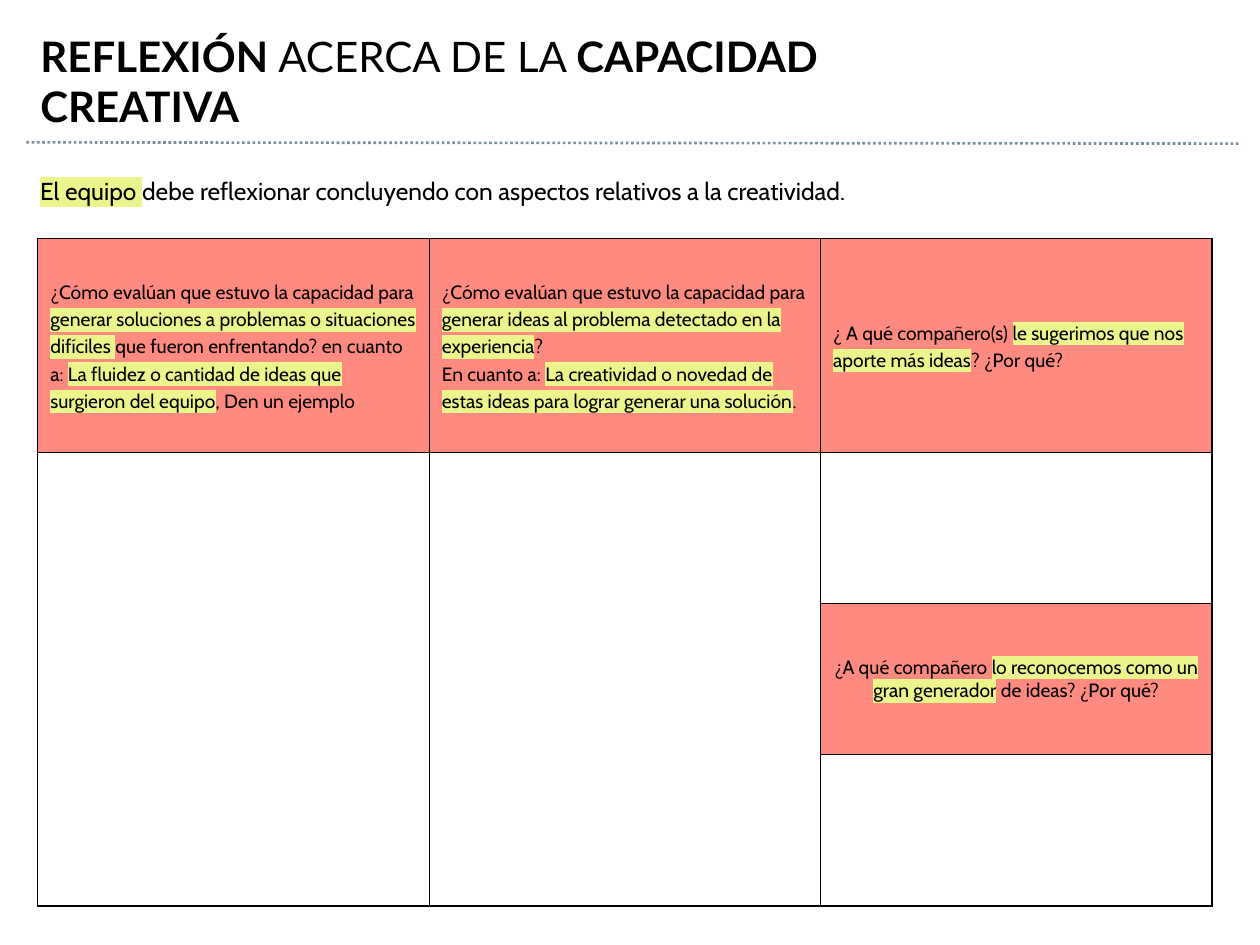
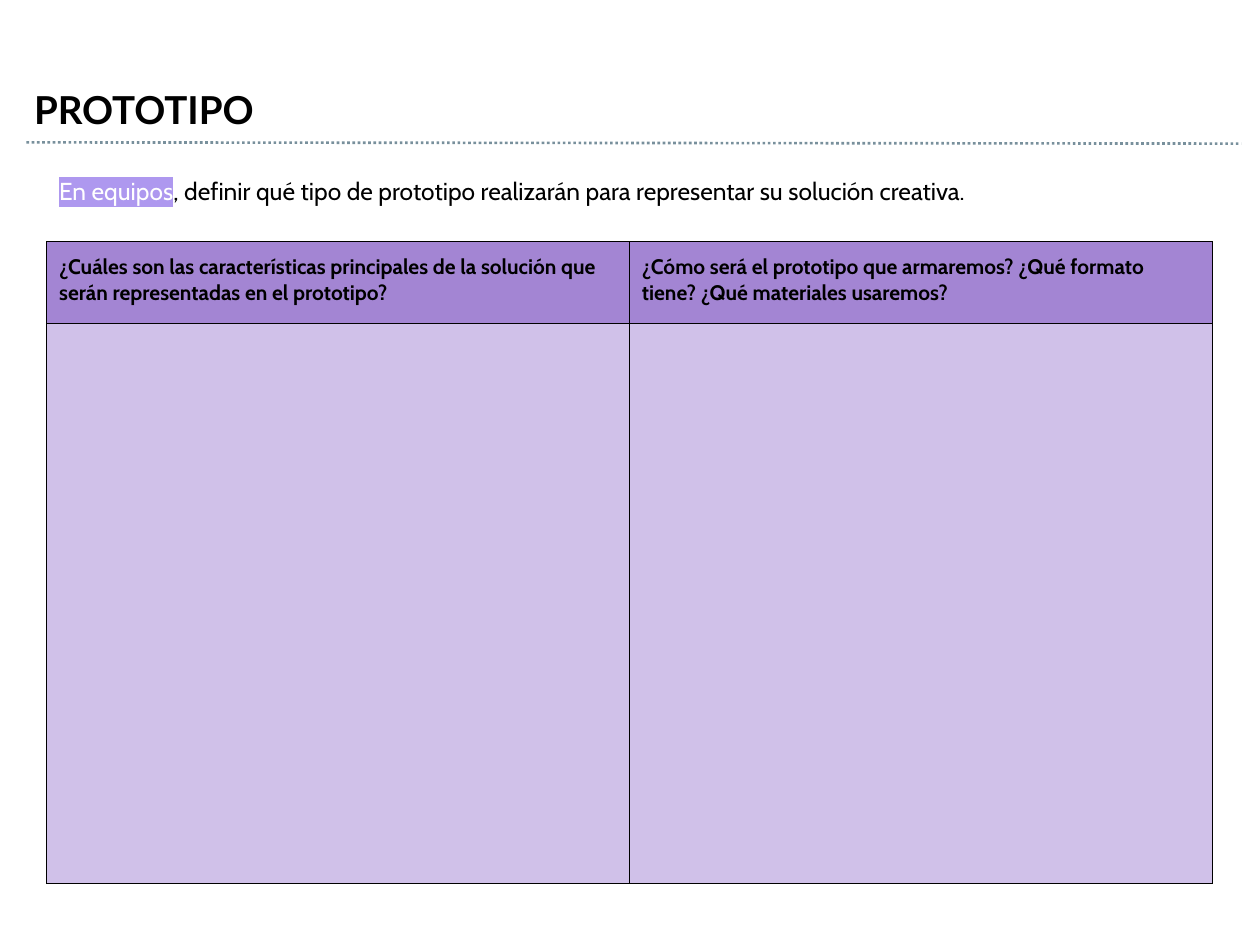
from dataclasses import dataclass

from lxml.etree import SubElement
from pptx import Presentation
from pptx.dml.color import RGBColor
from pptx.enum.dml import MSO_LINE
from pptx.enum.shapes import MSO_CONNECTOR
from pptx.enum.text import MSO_ANCHOR, MSO_AUTO_SIZE, PP_ALIGN
from pptx.oxml import parse_xml
from pptx.oxml.ns import nsdecls, qn
from pptx.util import Inches, Pt


@dataclass(frozen=True)
class Theme:
    """Colours, fonts and type sizes of the deck."""

    black: str = "000000"
    white: str = "FFFFFF"
    rule: str = "78909C"
    coral: str = "FF8A80"
    lime: str = "EBF58B"
    purple: str = "A385D3"
    lilac: str = "D0C1E9"
    violet: str = "AE98EF"
    title_font: str = "Lato"
    body_font: str = "Cabin"
    intro_size: int = 14
    question_size: int = 11
    heading_size: int = 12
    padding: float = 0.1


@dataclass(frozen=True)
class Span:
    """A stretch of text that differs from its paragraph."""

    text: str
    mark: str = ""
    color: str = ""
    bold: bool = False


THEME = Theme()


def rgb(value):
    """Turn a hex value into a colour."""
    return RGBColor.from_string(value)


def lime(text):
    """Mark text with the lime highlighter."""
    return Span(text, mark=THEME.lime)


def write_paragraph(para, spans, font, size, bold=False):
    """Fill a paragraph with plain strings and spans."""
    para.font.name = font
    para.font.size = Pt(size)
    para.font.color.rgb = rgb(THEME.black)
    if not any(isinstance(span, Span) and span.bold for span in spans):
        para.font.bold = bold
    for item in spans:
        span = item if isinstance(item, Span) else Span(item)
        run = para.add_run()
        run.text = span.text
        if span.bold:
            run.font.bold = True
        if span.color:
            run.font.color.rgb = rgb(span.color)
        if span.mark:
            highlight = SubElement(run.font._element, qn("a:highlight"))
            SubElement(highlight, qn("a:srgbClr"), val=span.mark)


def set_padding(holder):
    """Give a cell or text frame equal inner margins."""
    for side in ("left", "right", "top", "bottom"):
        setattr(holder, f"margin_{side}", Inches(THEME.padding))


def add_rule(page):
    """Draw the dotted line below the title."""
    rule = page.shapes.add_connector(
        MSO_CONNECTOR.STRAIGHT, Inches(0.21), Inches(1.13), Inches(9.85), Inches(1.14))
    rule.line.color.rgb = rgb(THEME.rule)
    rule.line.width = Pt(1.5)
    rule.line.dash_style = MSO_LINE.ROUND_DOT
    SubElement(rule._element.spPr, qn("a:effectLst"))


def add_title(page, spans, area, size, anchor, spacing=1.0):
    """Place and format the title placeholder."""
    title = page.shapes.title
    title.left, title.top, title.width, title.height = map(Inches, area)
    frame = title.text_frame
    frame.auto_size = MSO_AUTO_SIZE.NONE
    frame.word_wrap = True
    frame.vertical_anchor = anchor
    set_padding(frame)
    para = frame.paragraphs[0]
    para.alignment = PP_ALIGN.LEFT
    para.line_spacing = spacing
    write_paragraph(para, spans, THEME.title_font, size)


def add_intro(page, left, spans):
    """Add the instruction line between the rule and the table."""
    box = page.shapes.add_textbox(Inches(left), Inches(1.3), Inches(9.25), Inches(0.45))
    frame = box.text_frame
    frame.word_wrap = True
    set_padding(frame)
    write_paragraph(frame.paragraphs[0], spans, THEME.body_font, THEME.intro_size)


def style_cell(cell, fill):
    """Set the fill, padding and thin black borders of a cell."""
    set_padding(cell)
    cell.fill.solid()
    cell.fill.fore_color.rgb = rgb(fill)
    properties = cell._tc.get_or_add_tcPr()
    for index, side in enumerate("LRTB"):
        properties.insert(index, parse_xml(
            f'<a:ln{side} {nsdecls("a")} w="9525"><a:solidFill>'
            f'<a:srgbClr val="{THEME.black}"/></a:solidFill></a:ln{side}>'))


def add_grid(page, area, column_count, row_heights, fill):
    """Add a bordered table with equal columns and one fill."""
    frame = page.shapes.add_table(len(row_heights), column_count, *map(Inches, area))
    table = frame.table
    table.first_row = table.horz_banding = False
    for column in table.columns:
        column.width = Inches(area[2] / column_count)
    for row, height in zip(table.rows, row_heights):
        row.height = Inches(height)
        for cell in row.cells:
            style_cell(cell, fill)
    return table


def fill_question(cell, paragraphs, fill, size, bold=False, anchor=MSO_ANCHOR.MIDDLE,
                  spacing=1.0, alignment=PP_ALIGN.LEFT):
    """Write a question on a coloured cell."""
    cell.fill.fore_color.rgb = rgb(fill)
    cell.vertical_anchor = anchor
    frame = cell.text_frame
    for index, spans in enumerate(paragraphs):
        para = frame.add_paragraph() if index else frame.paragraphs[0]
        para.alignment = alignment
        para.line_spacing = spacing
        write_paragraph(para, spans, THEME.body_font, size, bold)


def add_page(deck):
    """Add a title-only slide with the dotted rule."""
    page = deck.slides.add_slide(deck.slide_layouts[5])
    add_rule(page)
    return page


def build_reflection(deck):
    """Build the slide on the team's creative capacity."""
    page = add_page(deck)
    add_title(page, [Span("REFLEXIÓN ", bold=True), "ACERCA DE LA ",
                     Span("CAPACIDAD CREATIVA", bold=True)],
              (0.22, 0.32, 6.68, 0.64), 24, MSO_ANCHOR.MIDDLE)
    add_intro(page, 0.22, [
        lime("El equipo "),
        "debe reflexionar concluyendo con aspectos relativos a la creatividad."])
    table = add_grid(page, (0.3, 1.89, 9.32, 5.3), 3, (1.7, 1.2, 1.2, 1.2), THEME.white)
    questions = [
        [["¿Cómo evalúan que estuvo la capacidad para ",
          lime("generar soluciones a problemas o situaciones difíciles "),
          "que fueron enfrentando? en cuanto a: ",
          lime("La fluidez o cantidad de ideas que surgieron del equipo"),
          ", Den un ejemplo"]],
        [["¿Cómo evalúan que estuvo la capacidad para ",
          lime("generar ideas al problema detectado en la experiencia"), "?"],
         ["En cuanto a: ",
          lime("La creatividad o novedad de estas ideas para lograr generar una solución"),
          "."]],
        [["¿ A qué compañero(s) ", lime("le sugerimos que nos aporte más ideas"),
          "? ¿Por qué?"]],
    ]
    for column, paragraphs in enumerate(questions):
        fill_question(table.cell(0, column), paragraphs, THEME.coral,
                      THEME.question_size, spacing=1.15)
    recognition = ["¿A qué compañero ", lime("lo reconocemos como un gran generador"),
                   " de ideas? ¿Por qué?"]
    fill_question(table.cell(2, 2), [recognition], THEME.coral,
                  THEME.question_size, alignment=PP_ALIGN.CENTER)
    for column in range(2):
        table.cell(1, column).merge(table.cell(3, column))


def build_prototype(deck):
    """Build the slide that defines the prototype."""
    page = add_page(deck)
    add_title(page, [Span("PROTOTIPO", bold=True)],
              (0.17, 0.4, 8.16, 0.72), 22, MSO_ANCHOR.TOP, spacing=1.5)
    add_intro(page, 0.37, [
        Span("En equipos", mark=THEME.violet, color=THEME.white),
        ", definir qué tipo de prototipo realizarán para representar su solución creativa."])
    table = add_grid(page, (0.37, 1.92, 9.25, 5.09), 2, (0.65, 4.44), THEME.lilac)
    questions = [
        "¿Cuáles son las características principales de la solución que serán "
        "representadas en el prototipo?",
        "¿Cómo será el prototipo que armaremos? ¿Qué formato tiene? "
        "¿Qué materiales usaremos?",
    ]
    for column, question in enumerate(questions):
        fill_question(table.cell(0, column), [[question]], THEME.purple,
                      THEME.heading_size, bold=True, anchor=MSO_ANCHOR.TOP)


def main():
    """Build and save the deck."""
    deck = Presentation()
    deck.slide_width, deck.slide_height = Inches(10), Inches(7.5)
    build_reflection(deck)
    build_prototype(deck)
    deck.save("out.pptx")


if __name__ == "__main__":
    main()
